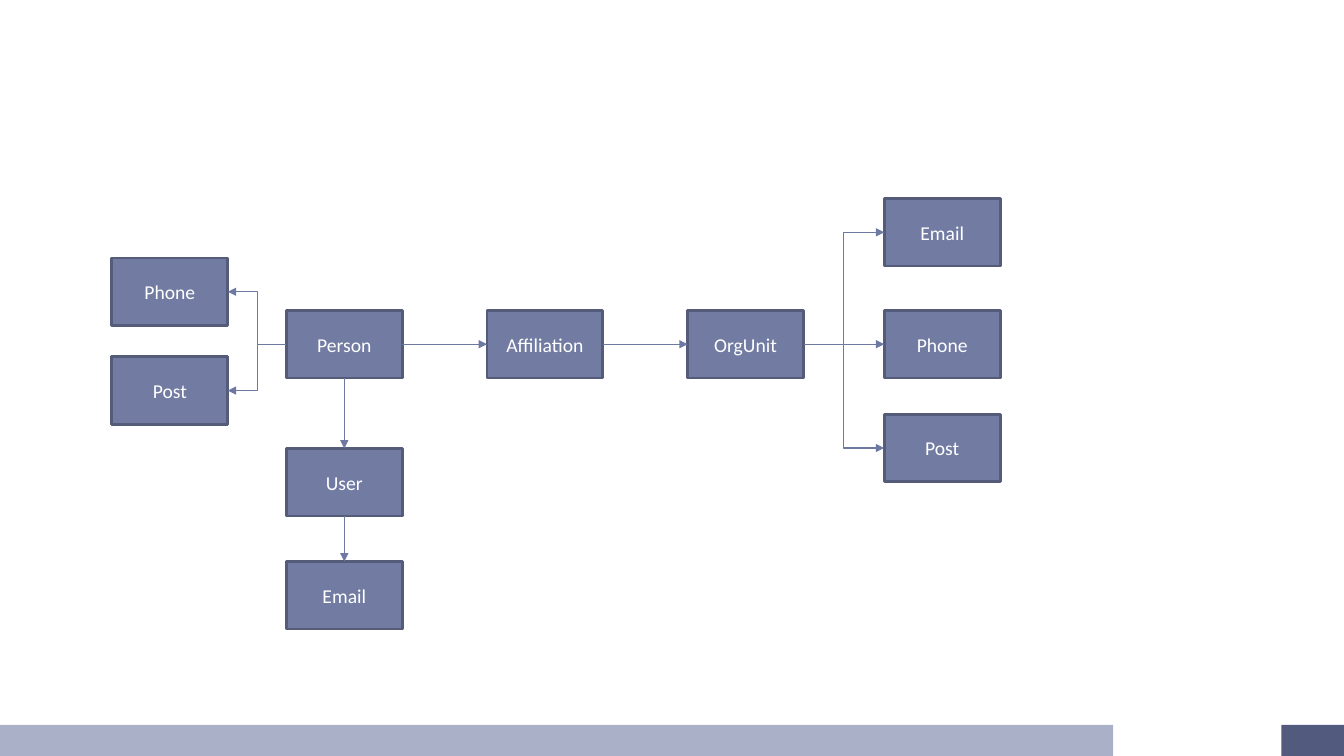
from lxml.etree import SubElement
from pptx import Presentation
from pptx.dml.color import RGBColor
from pptx.enum.shapes import MSO_CONNECTOR, MSO_SHAPE
from pptx.enum.text import MSO_ANCHOR, PP_ALIGN
from pptx.oxml.ns import qn
from pptx.util import Inches, Pt

BOX_W, BOX_H = 1.15, 0.67
TOP, LEFT, BOTTOM, RIGHT = range(4)
ROW = 3.08
CONTACT_X, PERSON_X, AFFILIATION_X, UNIT_X, UNIT_CONTACT_X = 1.11, 2.84, 4.83, 6.82, 8.77

BOXES = {
    "person": ("Person", PERSON_X, ROW),
    "unit": ("OrgUnit", UNIT_X, ROW),
    "affiliation": ("Affiliation", AFFILIATION_X, ROW),
    "user": ("User", PERSON_X, 4.45),
    "unit_post": ("Post", UNIT_CONTACT_X, 4.11),
    "user_email": ("Email", PERSON_X, 5.57),
    "person_phone": ("Phone", CONTACT_X, 2.56),
    "person_post": ("Post", CONTACT_X, 3.54),
    "unit_phone": ("Phone", UNIT_CONTACT_X, ROW),
    "unit_email": ("Email", UNIT_CONTACT_X, 1.97),
}

ARROWS = [
    ("person", LEFT, "person_phone", RIGHT),
    ("person", LEFT, "person_post", RIGHT),
    ("person", BOTTOM, "user", TOP),
    ("user", BOTTOM, "user_email", TOP),
    ("person", RIGHT, "affiliation", LEFT),
    ("affiliation", RIGHT, "unit", LEFT),
    ("unit", RIGHT, "unit_email", LEFT),
    ("unit", RIGHT, "unit_post", LEFT),
    ("unit", RIGHT, "unit_phone", LEFT),
]


def rgb(value):
    """Return the colour for a hex string."""
    return RGBColor.from_string(value)


def add_rect(slide, x, y, w, h, fill):
    """Add a flat rectangle without an outline."""
    sp = slide.shapes.add_shape(MSO_SHAPE.RECTANGLE, Inches(x), Inches(y), Inches(w), Inches(h))
    sp.shadow.inherit = False
    sp.fill.solid()
    sp.fill.fore_color.rgb = rgb(fill)
    sp.line.fill.background()
    return sp


def add_box(slide, label, x, y):
    """Add an outlined entity box with a centred label."""
    sp = add_rect(slide, x, y, BOX_W, BOX_H, "727CA3")
    sp.line.color.rgb = rgb("545C79")
    sp.line.width = Pt(2)
    tf = sp.text_frame
    tf.word_wrap = True
    tf.vertical_anchor = MSO_ANCHOR.MIDDLE
    p = tf.paragraphs[0]
    p.alignment = PP_ALIGN.CENTER
    r = p.add_run()
    r.text = label
    r.font.name = "Calibri"
    r.font.size = Pt(14)
    r.font.color.rgb = rgb("FFFFFF")
    return sp


def add_arrow(slide, start, start_side, end, end_side):
    """Connect two boxes, with an elbow where they are not aligned."""
    aligned = start.left == end.left or start.top == end.top
    kind = MSO_CONNECTOR.STRAIGHT if aligned else MSO_CONNECTOR.ELBOW
    cxn = slide.shapes.add_connector(kind, 0, 0, 0, 0)
    cxn.begin_connect(start, start_side)
    cxn.end_connect(end, end_side)
    cxn.line.color.rgb = rgb("6E79A1")
    cxn.line.width = Pt(0.75)
    SubElement(cxn.line._get_or_add_ln(), qn("a:tailEnd"), type="triangle")
    SubElement(cxn._element.spPr, qn("a:effectLst"))


def main():
    """Build the slide and save it."""
    prs = Presentation()
    prs.slide_width, prs.slide_height = Inches(13.33), Inches(7.5)
    slide = prs.slides.add_slide(prs.slide_layouts[6])
    add_rect(slide, 0, 7.19, 11.04, 0.31, "AAB0C8")
    add_rect(slide, 12.71, 7.19, 0.62, 0.31, "525B7E")
    boxes = {key: add_box(slide, *box) for key, box in BOXES.items()}
    for start, start_side, end, end_side in ARROWS:
        add_arrow(slide, boxes[start], start_side, boxes[end], end_side)
    prs.save("out.pptx")


if __name__ == "__main__":
    main()
